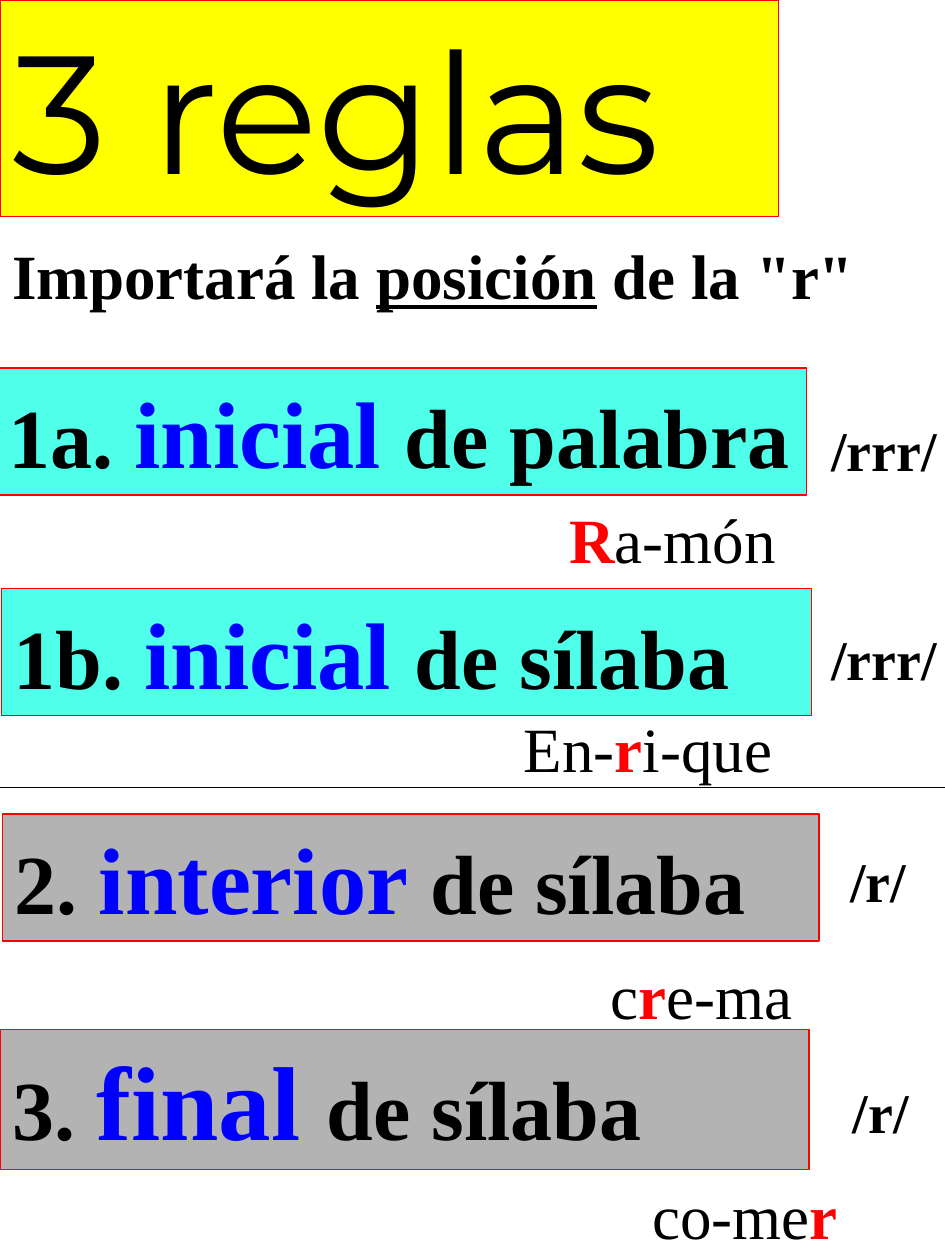
import pptx
import pptx.dml.color
import pptx.enum.shapes
import pptx.enum.text
import pptx.oxml.ns
import pptx.util
import lxml.etree

Inches = pptx.util.Inches
RGBColor = pptx.dml.color.RGBColor

BLACK = RGBColor(0x00, 0x00, 0x00)
RED = RGBColor(0xFF, 0x00, 0x00)
BLUE = RGBColor(0x00, 0x00, 0xFF)
YELLOW = RGBColor(0xFF, 0xFF, 0x00)
TURQUOISE = RGBColor(0x50, 0xFF, 0xEA)
GRAY = RGBColor(0xB3, 0xB3, 0xB3)
SERIF = "Times New Roman"

deck = pptx.Presentation()
deck.slide_width = Inches(7.5)
deck.slide_height = Inches(10)
page = deck.slides.add_slide(deck.slide_layouts[6])


def write_spans(box, spans, font_name=SERIF, wrap=False):
    """Fill the box with one left-aligned line of (text, size, colour, bold) spans."""
    frame = box.text_frame
    frame.word_wrap = wrap
    frame.auto_size = pptx.enum.text.MSO_AUTO_SIZE.SHAPE_TO_FIT_TEXT
    frame.vertical_anchor = pptx.enum.text.MSO_ANCHOR.TOP
    para = frame.paragraphs[0]
    para.alignment = pptx.enum.text.PP_ALIGN.LEFT
    for text, size, colour, bold in spans:
        span = para.add_run()
        span.text = text
        span.font.name = font_name
        span.font.size = pptx.util.Pt(size)
        span.font.color.rgb = colour
        span.font.bold = bold
    return para


def add_panel(left, top, width, height, fill):
    panel = page.shapes.add_shape(
        pptx.enum.shapes.MSO_SHAPE.RECTANGLE,
        Inches(left), Inches(top), Inches(width), Inches(height))
    panel.shadow.inherit = False
    panel.fill.solid()
    panel.fill.fore_color.rgb = fill
    panel.line.color.rgb = RED
    panel.line.width = pptx.util.Pt(0.75)
    return panel


# Title and introduction
title = add_panel(0, 0, 6.18, 1.72, YELLOW)
write_spans(title, [("3 reglas", 96, BLACK, False)], "Montserrat")

intro = page.shapes.add_textbox(Inches(0), Inches(1.83), Inches(6.95), Inches(0.71))
intro_para = write_spans(intro, [
    (text, 36, BLACK, True) for text in ("Importará la ", "posición", ' de la "r"')])
intro_para.runs[1].font.underline = True

# Rules: panel place, fill, number, position word, its size, ending
rules = [
    (-0.03, 2.92, 6.43, 1.01, TURQUOISE, "1a. ", "inicial ", 54, "de palabra"),
    (0.01, 4.67, 6.43, 1.01, TURQUOISE, "1b. ", "inicial ", 54, "de sílaba"),
    (0.02, 6.46, 6.48, 1.01, GRAY, "2. ", "interior ", 54, "de sílaba"),
    (0, 8.17, 6.42, 1.11, GRAY, "3. ", "final ", 60, "de sílaba"),
]
for left, top, width, height, fill, number, position, size, ending in rules:
    panel = add_panel(left, top, width, height, fill)
    write_spans(panel, [(number, 48, BLACK, True), (position, size, BLUE, True),
                        (ending, 48, BLACK, True)], wrap=True)

# Example words: place, letters before the r, the r, letters after it
examples = [
    (4.42, 3.92, 1.86, "", "R", "a-món"),
    (4.06, 5.58, 2.19, "En-", "r", "i-que"),
    (4.75, 7.54, 1.66, "c", "r", "e-ma"),
    (5.08, 9.29, 1.69, "co-me", "r", ""),
]
for left, top, width, before, letter, after in examples:
    example = page.shapes.add_textbox(
        Inches(left), Inches(top), Inches(width), Inches(0.71))
    spans = [(before, 36, BLACK, False), (letter, 36, RED, True),
             (after, 36, BLACK, False)]
    write_spans(example, [span for span in spans if span[0]])

# Sounds
sounds = [
    (6.5, 3.25, 1.06, "/rrr/"),
    (6.5, 4.91, 1.06, "/rrr/"),
    (6.65, 6.67, 0.65, "/r/"),
    (6.67, 8.5, 0.65, "/r/"),
]
for left, top, width, sound in sounds:
    label = page.shapes.add_textbox(
        Inches(left), Inches(top), Inches(width), Inches(0.64))
    write_spans(label, [(sound, 32, BLACK, True)])

# Divider between the strong and the soft sound
divider = page.shapes.add_connector(
    pptx.enum.shapes.MSO_CONNECTOR.STRAIGHT,
    Inches(0), Inches(6.25), Inches(7.5), Inches(6.25))
divider.line.color.rgb = BLACK
divider.line.width = pptx.util.Pt(0.75)
lxml.etree.SubElement(divider.element.spPr, pptx.oxml.ns.qn("a:effectLst"))

deck.save("out.pptx")
